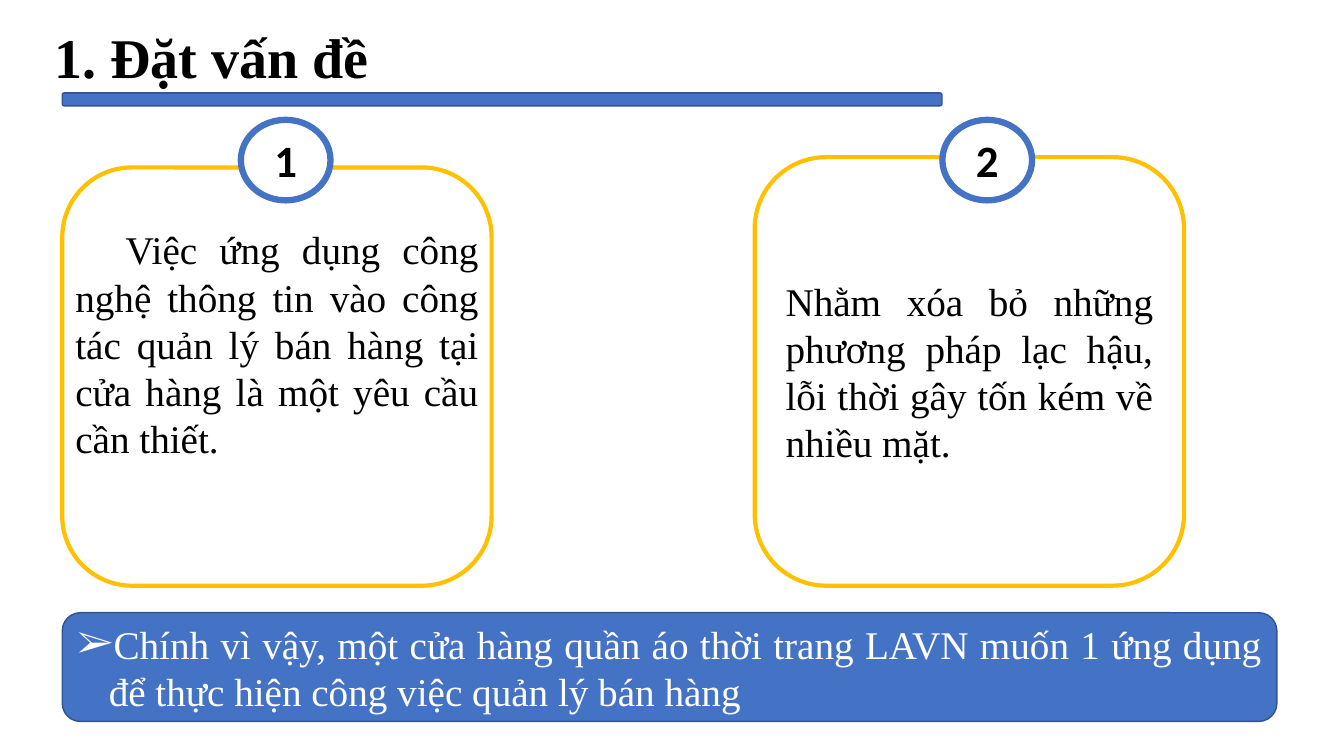
import dataclasses

import pptx
import pptx.dml.color
import pptx.enum.shapes
import pptx.enum.text
import pptx.oxml
import pptx.oxml.ns
import pptx.util

Cm = pptx.util.Cm
Pt = pptx.util.Pt
RGBColor = pptx.dml.color.RGBColor
Shape = pptx.enum.shapes.MSO_SHAPE
Align = pptx.enum.text.PP_ALIGN
Anchor = pptx.enum.text.MSO_ANCHOR

WHITE = RGBColor(0xFF, 0xFF, 0xFF)
BLACK = RGBColor(0x00, 0x00, 0x00)
BLUE = RGBColor(0x44, 0x72, 0xC4)
DARK_BLUE = RGBColor(0x31, 0x53, 0x8F)
GOLD = RGBColor(0xFF, 0xC0, 0x00)

SERIF = "Times New Roman"
SANS = "Calibri"
LEFT_EDGE = 1.57
CARD_WIDTH = 10.82
CARD_BOTTOM = 14.76
WIDE_INSETS = (0.33, 0.33)
NARROW_INSETS = (0.25, 0.13)


@dataclasses.dataclass(frozen=True)
class Frame:
    left: float
    top: float
    width: float
    height: float

    def lengths(self) -> tuple:
        return tuple(Cm(value) for value in dataclasses.astuple(self))


@dataclasses.dataclass(frozen=True)
class Card:
    left: float
    top: float
    badge_left: float
    number: str


CARDS = (
    Card(LEFT_EDGE, 4.22, 6.07, "1"),
    Card(19.02, 3.96, 23.75, "2"),
)


def place(box, frame: Frame) -> None:
    box.left, box.top, box.width, box.height = frame.lengths()


def add_box(page, kind, frame: Frame, fill: RGBColor, line: RGBColor, weight: float):
    box = page.shapes.add_shape(kind, *frame.lengths())
    box.shadow.inherit = False
    box.fill.solid()
    box.fill.fore_color.rgb = fill
    box.line.color.rgb = line
    box.line.width = Pt(weight)
    return box


def add_bullet(para, symbol: str, color: RGBColor, font: str) -> None:
    properties = para._p.get_or_add_pPr()
    namespace = pptx.oxml.ns.nsdecls("a")
    for markup in (
        f'<a:buClr {namespace}><a:srgbClr val="{color}"/></a:buClr>',
        f'<a:buFont {namespace} typeface="{font}"/>',
        f'<a:buChar {namespace} char="{symbol}"/>',
    ):
        properties.append(pptx.oxml.parse_xml(markup))


def write_text(box, text: str, *, size: float = 28, font: str = SERIF,
               color: RGBColor = BLACK, bold: bool = False, align=Align.JUSTIFY,
               anchor=Anchor.MIDDLE, insets: tuple = NARROW_INSETS,
               margin: float = 0, indent: float = 0, line_spacing: float = 1.0,
               space_after: float = 0, bullet: str = "") -> None:
    frame = box.text_frame
    frame.word_wrap = True
    frame.auto_size = pptx.enum.text.MSO_AUTO_SIZE.NONE
    frame.vertical_anchor = anchor
    frame.margin_left = frame.margin_right = Cm(insets[0])
    frame.margin_top = frame.margin_bottom = Cm(insets[1])
    para = frame.paragraphs[0]
    para.alignment = align
    para.line_spacing = line_spacing
    para.space_before = Pt(0)
    para.space_after = Pt(space_after)
    properties = para._p.get_or_add_pPr()
    properties.set("marL", str(Cm(margin)))
    properties.set("indent", str(Cm(indent)))
    if bullet:
        add_bullet(para, bullet, color, font)
    span = para.add_run()
    span.text = text
    span.font.name = font
    span.font.size = Pt(size)
    span.font.bold = bold
    span.font.color.rgb = color


def add_card(page, card: Card):
    frame = Frame(card.left, card.top, CARD_WIDTH, CARD_BOTTOM - card.top)
    box = add_box(page, Shape.ROUNDED_RECTANGLE, frame, WHITE, GOLD, 3)
    badge = add_box(page, Shape.OVAL, Frame(card.badge_left, 3.02, 2.26, 2.03),
                    WHITE, BLUE, 4.5)
    write_text(badge, card.number, size=32, font=SANS, bold=True, align=Align.CENTER)
    return box


def main() -> None:
    deck = pptx.Presentation()
    deck.slide_width, deck.slide_height = Cm(33.87), Cm(19.05)
    page = deck.slides.add_slide(deck.slide_layouts[5])
    page.background.fill.solid()
    page.background.fill.fore_color.rgb = WHITE

    title = page.shapes.title
    place(title, Frame(1.04, 0.71, 17.53, 1.63))
    write_text(title, "1. Đặt vấn đề", size=40, bold=True, align=Align.LEFT,
               insets=WIDE_INSETS, line_spacing=0.9)
    add_box(page, Shape.ROUNDED_RECTANGLE, Frame(LEFT_EDGE, 2.34, 22.17, 0.33),
            BLUE, DARK_BLUE, 1)

    first_card, second_card = [add_card(page, card) for card in CARDS]
    reason = page.shapes.add_textbox(*Frame(LEFT_EDGE, 5.36, CARD_WIDTH, 9.32).lengths())
    write_text(reason, "Việc ứng dụng công nghệ thông tin vào công tác quản lý "
               "bán hàng tại cửa hàng là một yêu cầu cần thiết.",
               anchor=Anchor.TOP, insets=WIDE_INSETS, indent=1.27, space_after=12)
    write_text(second_card, "Nhằm xóa bỏ những phương pháp lạc hậu, lỗi thời gây "
               "tốn kém về nhiều mặt.")

    conclusion = add_box(page, Shape.ROUNDED_RECTANGLE,
                         Frame(LEFT_EDGE, 15.44, 30.61, 2.74), BLUE, DARK_BLUE, 1)
    write_text(conclusion, "Chính vì vậy, một cửa hàng quần áo thời trang LAVN muốn "
               "1 ứng dụng để thực hiện công việc quản lý bán hàng",
               color=WHITE, margin=0.79, indent=-0.79, bullet="➢")
    deck.save("out.pptx")


if __name__ == "__main__":
    main()
